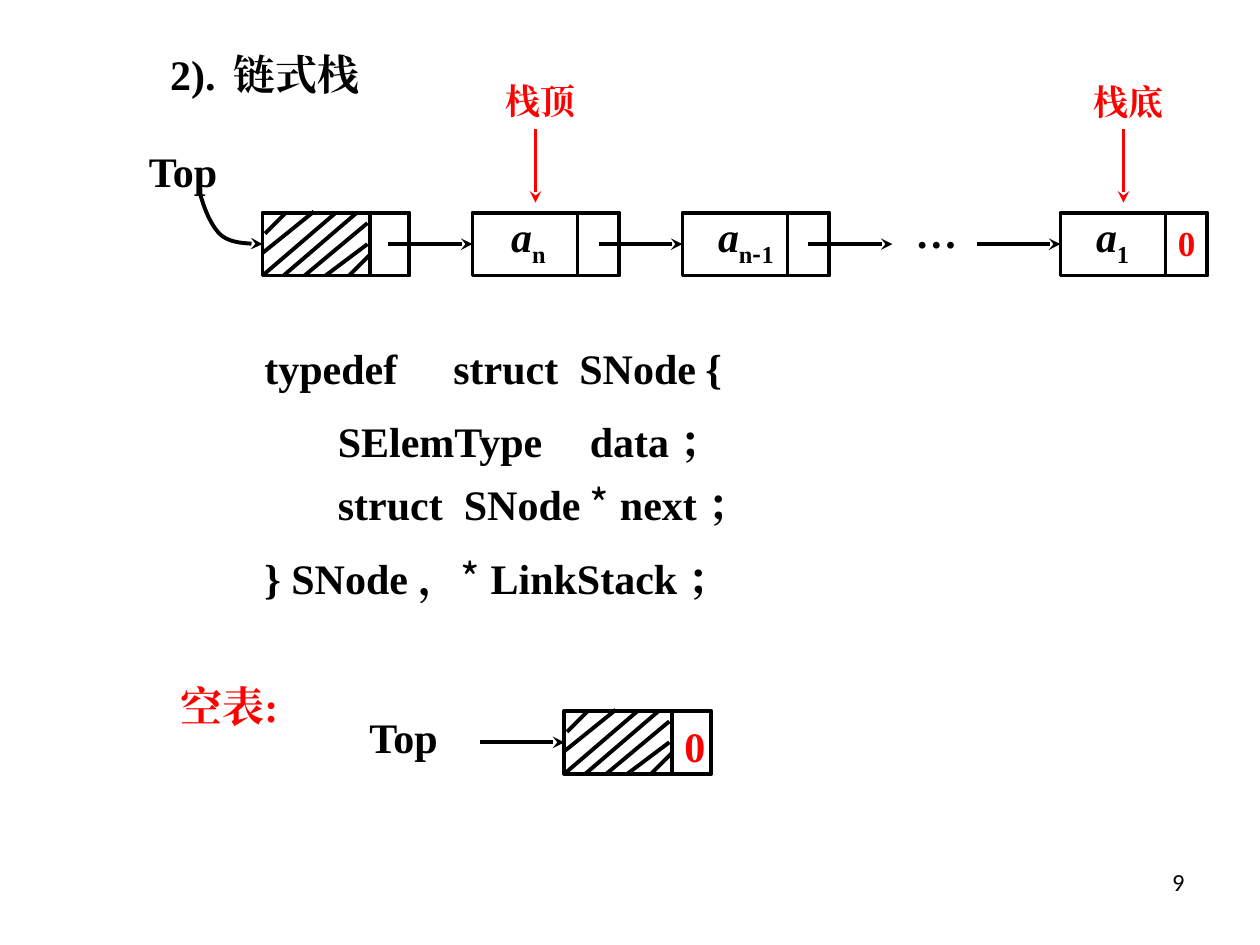
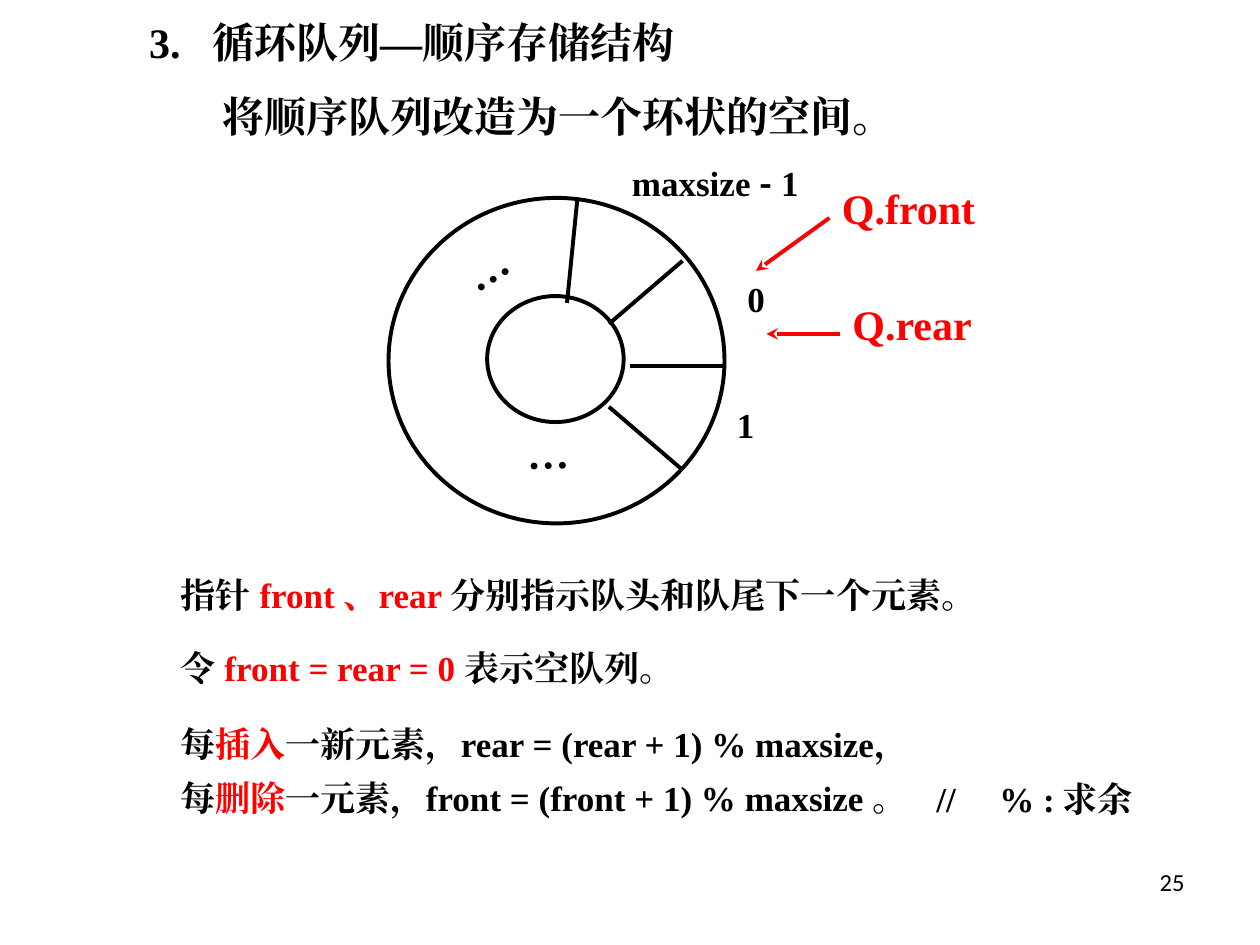
"""Build two lecture slides on linked stacks and circular queues."""
import pptx
import pptx.util
import pptx.dml.color
import pptx.enum.shapes
import pptx.enum.text
import pptx.oxml.ns
from lxml import etree

BLACK = pptx.dml.color.RGBColor(0x00, 0x00, 0x00)
RED = pptx.dml.color.RGBColor(0xFF, 0x00, 0x00)
SERIF, SANS, PAGE_FONT = "Times New Roman", "Noto Sans CJK SC", "Calibri"
RECT = pptx.enum.shapes.MSO_SHAPE.RECTANGLE
OVAL = pptx.enum.shapes.MSO_SHAPE.OVAL
STRAIGHT = pptx.enum.shapes.MSO_CONNECTOR.STRAIGHT
ALIGN = pptx.enum.text.PP_ALIGN
qn = pptx.oxml.ns.qn

prs = pptx.Presentation()
prs.slide_width = pptx.util.Inches(10)
prs.slide_height = pptx.util.Inches(7.5)
CELL = prs.slide_width // 120


def write(sp, at, *paras, size=24, color=BLACK, tabs=(), gap=0, leading=None,
          font=SERIF, bold=True, align=ALIGN.LEFT):
    """Place a text shape on the grid and fill it; tabs are in inches."""
    sp.left, sp.top, sp.width, sp.height = (int(v * CELL) for v in at)
    tf = sp.text_frame
    tf.word_wrap = True
    tf.auto_size = pptx.enum.text.MSO_AUTO_SIZE.NONE
    tf.vertical_anchor = pptx.enum.text.MSO_ANCHOR.TOP
    for n, runs in enumerate(paras):
        p = tf.add_paragraph() if n else tf.paragraphs[0]
        pPr = p._p.get_or_add_pPr()
        pPr.set("marL", "0")
        pPr.set("indent", "0")
        etree.SubElement(pPr, qn("a:buNone"))
        if tabs:
            stops = etree.SubElement(pPr, qn("a:tabLst"))
            for tab in tabs:
                etree.SubElement(stops, qn("a:tab"), algn="l",
                                 pos=str(int(pptx.util.Inches(tab))))
        p.alignment = align
        p.space_before = pptx.util.Pt(gap if n else 0)
        if leading:
            p.line_spacing = leading
        for words, *marks in runs:
            r = p.add_run()
            r.text = words
            r.font.size = pptx.util.Pt(size)
            r.font.bold = bold and "plain" not in marks
            r.font.italic = "italic" in marks
            r.font.color.rgb = RED if "red" in marks else color
            r.font.name = SANS if "sans" in marks else font
            rPr = r._r.get_or_add_rPr()
            etree.SubElement(rPr, qn("a:ea"), typeface=r.font.name)
            if "sub" in marks:
                rPr.set("baseline", "-25000")


def ink(sp, color=BLACK, arrow=False):
    """Draw a plain outline without shadow, optionally with an arrowhead."""
    etree.SubElement(sp._element.spPr, qn("a:effectLst"))
    sp.line.color.rgb = color
    sp.line.width = pptx.util.Pt(2.25)
    if arrow:
        etree.SubElement(sp.line._get_or_add_ln(), qn("a:tailEnd"), type="stealth")


stack = prs.slides.add_slide(prs.slide_layouts[5])
queue = prs.slides.add_slide(prs.slide_layouts[1])

write(stack.shapes.title, (15, 4, 80, 6), [("2).\t链式栈",)], tabs=[0.69])
write(queue.shapes.title, (13, 1, 62, 6), [("3.\t循环队列—顺序存储结构",)], tabs=[0.5])
for s, number in ((stack, "9"), (queue, "25")):
    write(s.shapes.add_textbox(0, 0, 0, 0), (86, 82, 28, 6.25), [(number,)],
          size=14, font=PAGE_FONT, bold=False, align=ALIGN.RIGHT)

NODE_W, NODE_H, NODE_Y, EMPTY_Y = 14, 6, 20.25, 67.7
LINK_Y = NODE_Y + NODE_H / 2
HATCH = [(2.25, 0, 0.25, 2), (4.9, -0.1, 0, 3.85), (9, 0, 2, 6), (10, 3, 6, 6),
         (7, 0, 0, 6), (10, 1, 4, 6), (10.25, 4, 8.25, 6)]
outlines = [(queue, OVAL, (37, 18.85, 32, 31)), (queue, OVAL, (46.4, 28.2, 13, 12))]
lines = []
for x, y, divider in ((25, NODE_Y, 10.25), (45, NODE_Y, 10), (65, NODE_Y, 10),
                      (101, NODE_Y, 10), (53.75, EMPTY_Y, 10.25)):
    outlines.append((stack, RECT, (x, y, NODE_W, NODE_H)))
    lines.append((stack, (x + divider, y, x + divider, y + NODE_H), BLACK, False))
for x, y in ((25, NODE_Y), (53.75, EMPTY_Y)):
    for x1, y1, x2, y2 in HATCH:
        lines.append((stack, (x + x1, y + y1, x + x2, y + y2), BLACK, False))
for x, y in ((37, LINK_Y), (57, LINK_Y), (77, LINK_Y), (93, LINK_Y),
             (45.75, EMPTY_Y + NODE_H / 2)):
    lines.append((stack, (x, y, x + 8, y), BLACK, True))
for x in (51, 107):
    lines.append((stack, (x, 12.3, x, 19.3), RED, True))
for spoke in ((58, 30.85, 65, 24.85), (60, 34.85, 69, 34.85),
              (58, 38.75, 65, 44.75), (54, 28.85, 55, 18.85)):
    lines.append((queue, spoke, BLACK, False))
for pointer in ((79, 20.75, 72, 25.8), (80, 31.8, 73, 31.8)):
    lines.append((queue, pointer, RED, True))

for s, kind, at in outlines:
    sp = s.shapes.add_shape(kind, *(int(v * CELL) for v in at))
    sp.fill.background()
    ink(sp)
for s, ends, color, arrow in lines:
    ink(s.shapes.add_connector(STRAIGHT, *(int(v * CELL) for v in ends)), color, arrow)

TOP_CURVE = [((19, 18.25), (19.45, 19.9), (20.1, 21.5), (21, 22.35)),
             ((21, 22.35), (21.95, 23.2), (23.5, 23.2), (25, LINK_Y))]
bends = []
for a, b, c, d in TOP_CURVE:
    for step in range(1, 13):
        t = step / 12
        bends.append([CELL * ((1 - t) ** 3 * a[k] + 3 * (1 - t) ** 2 * t * b[k]
                              + 3 * (1 - t) * t ** 2 * c[k] + t ** 3 * d[k])
                      for k in (0, 1)])
builder = stack.shapes.build_freeform(19 * CELL, int(18.25 * CELL))
builder.add_line_segments(bends, close=False)
sp = builder.convert_to_shape()
sp.fill.background()
ink(sp, arrow=True)

labels = [
    (stack, (47.5, 19.5, 9, 6.75), 24, BLACK, [("a", "italic"), ("n", "sub")]),
    (stack, (67.2, 19.5, 9, 6.75), 24, BLACK,
     [("a", "italic"), ("n", "sub"), ("-", "sub", "sans"), ("1", "sub")]),
    (stack, (103.2, 19.5, 9, 6.75), 24, BLACK, [("a", "italic"), ("1", "sub")]),
    (stack, (86, 19.1, 10, 6), 24, BLACK, [("…",)]),
    (stack, (111, 20.5, 8, 5.3), 20, RED, [("0",)]),
    (stack, (64, 68, 8, 6), 24, RED, [("0",)]),
    (stack, (13, 13.3, 13, 6), 24, BLACK, [("Top",)]),
    (stack, (34, 67.2, 13, 6), 24, BLACK, [("Top",)]),
    (stack, (47, 7, 16, 5.3), 20, RED, [("栈顶",)]),
    (stack, (103, 7.1, 16, 5.3), 20, RED, [("栈底",)]),
    (stack, (16, 64.2, 14, 6), 24, RED, [("空表:",)]),
    (queue, (20, 8, 90, 6), 24, BLACK, [("将顺序队列改造为一个环状的空间。",)]),
    (queue, (59, 14.75, 28, 5.3), 20, BLACK, [("maxsize ",), ("-", "sans"), (" 1",)]),
    (queue, (70, 25.85, 5, 5.3), 20, BLACK, [("0",)]),
    (queue, (69, 37.85, 5, 5.3), 20, BLACK, [("1",)]),
    (queue, (79, 16.8, 16, 6), 24, RED, [("Q.front",)]),
    (queue, (80, 27.85, 16, 6), 24, RED, [("Q.rear",)]),
]
for s, at, size, color, runs in labels:
    write(s.shapes.add_textbox(0, 0, 0, 0), at, runs, size=size, color=color)
for at, angle in (((49, 39.85, 20, 6), -1.5), ((42, 18.85, 20, 6), -32.7)):
    sp = queue.shapes.add_textbox(0, 0, 0, 0)
    write(sp, at, [("…",)])
    sp.rotation = angle

code = [
    (24, 32, [1.39, 2.47, 3.57], [("typedef\tstruct\tSNode\t{",)]),
    (31, 39, [2.62], [("SElemType\tdata ；",)]),
    (31, 45, [1, 2.6], [("struct\tSNode\t",), ("*", "sans", "plain"), (" next ；",)]),
    (24, 52, [], [("} SNode ，",), ("*", "sans", "plain"), (" LinkStack ；",)]),
]
for x, y, tabs, runs in code:
    write(stack.shapes.add_textbox(0, 0, 0, 0), (x, y, 71, 6), runs, tabs=tabs)

write(queue.placeholders[1], (16, 54, 90, 12),
      [("指针 ",), ("front 、rear ", "red"), ("分别指示队头和队尾下一个元素。",)],
      [("令 ",), ("front = rear = 0 ", "red"), ("表示空队列。",)], size=20, gap=18)
write(queue.shapes.add_textbox(0, 0, 0, 0), (16, 67, 73, 11.65),
      [("每",), ("插入", "red"), ("一新元素，rear = (rear + 1) % maxsize，每",),
       ("删除", "red"), ("一元素，front = (front + 1) % maxsize 。",)],
      size=20, leading=1.3)
write(queue.shapes.add_textbox(0, 0, 0, 0), (88, 73.5, 28, 5.3),
      [("//\t% :\t求余",)], size=20, tabs=[0.3, 0.94])

prs.save("out.pptx")
